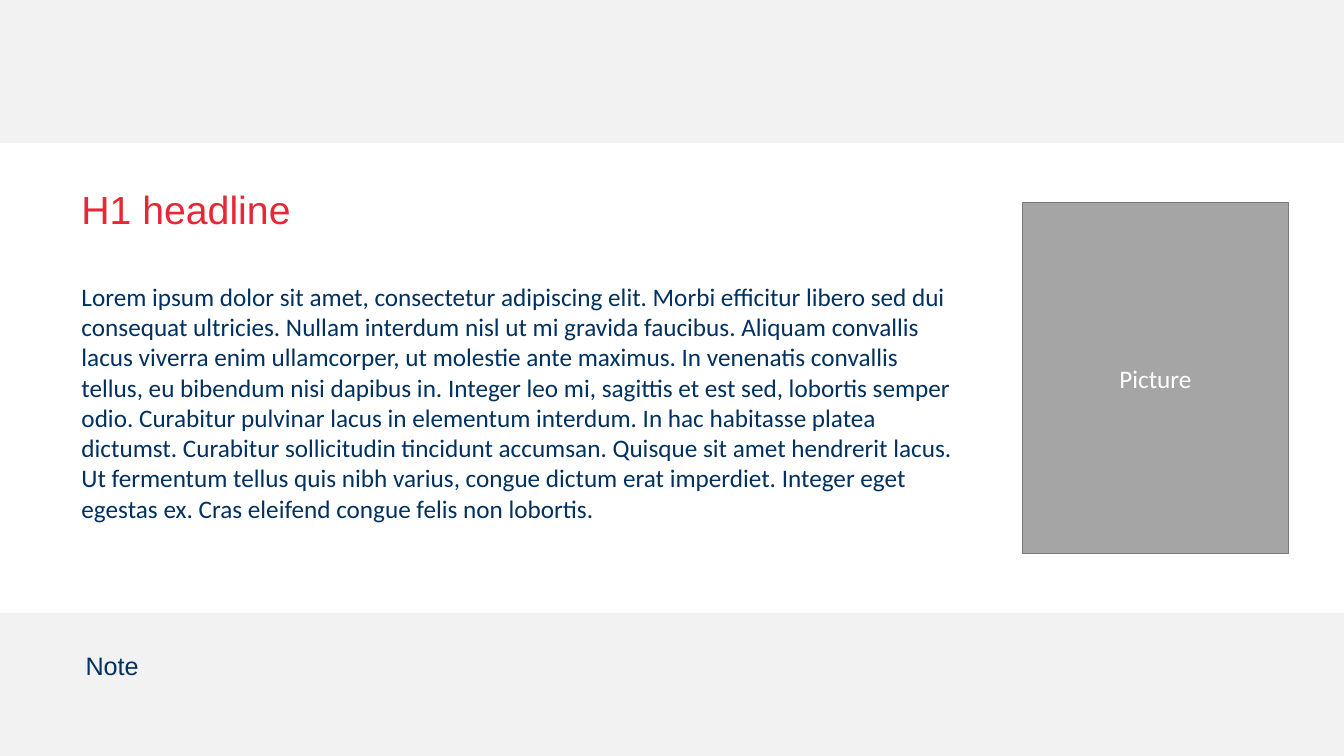
from pptx import Presentation
from pptx.dml.color import RGBColor
from pptx.enum.shapes import MSO_SHAPE
from pptx.enum.text import MSO_ANCHOR, MSO_AUTO_SIZE, PP_ALIGN
from pptx.util import Inches, Pt

COLORS = {
    "band": "F2F2F2",
    "navy": "003160",
    "red": "E72736",
    "frame": "A5A5A5",
    "frame_line": "7A7A7A",
    "white": "FFFFFF",
}
SLIDE_WIDTH, SLIDE_HEIGHT, BAND_HEIGHT = 13.33, 7.5, 1.42
BODY_TEXT = (
    "Lorem ipsum dolor sit amet, consectetur adipiscing elit. Morbi efficitur libero sed dui "
    "consequat ultricies. Nullam interdum nisl ut mi gravida faucibus. Aliquam convallis "
    "lacus viverra enim ullamcorper, ut molestie ante maximus. In venenatis convallis "
    "tellus, eu bibendum nisi dapibus in. Integer leo mi, sagittis et est sed, lobortis semper "
    "odio. Curabitur pulvinar lacus in elementum interdum. In hac habitasse platea "
    "dictumst. Curabitur sollicitudin tincidunt accumsan. Quisque sit amet hendrerit lacus. "
    "Ut fermentum tellus quis nibh varius, congue dictum erat imperdiet. Integer eget "
    "egestas ex. Cras eleifend congue felis non lobortis."
)


def color(name):
    """Return the named colour."""
    return RGBColor.from_string(COLORS[name])


def write_text(shape, text, font_name, size, color_name):
    """Write one styled run and return its paragraph."""
    shape.text_frame.word_wrap = True
    paragraph = shape.text_frame.paragraphs[0]
    run = paragraph.add_run()
    run.text = text
    run.font.name = font_name
    run.font.size = Pt(size)
    run.font.color.rgb = color(color_name)
    return paragraph


def add_rectangle(slide, left, top, width, height, fill_name, line_name=None):
    """Add a flat rectangle, outlined only if a line colour is given."""
    shape = slide.shapes.add_shape(
        MSO_SHAPE.RECTANGLE, Inches(left), Inches(top), Inches(width), Inches(height)
    )
    shape.shadow.inherit = False
    shape.fill.solid()
    shape.fill.fore_color.rgb = color(fill_name)
    if line_name:
        shape.line.color.rgb = color(line_name)
        shape.line.width = Pt(1)
    else:
        shape.line.fill.background()
    return shape


def add_text(slide, left, top, width, height, text, font_name, size, color_name):
    """Add a wrapping text box that grows with its text."""
    box = slide.shapes.add_textbox(Inches(left), Inches(top), Inches(width), Inches(height))
    write_text(box, text, font_name, size, color_name)
    box.text_frame.auto_size = MSO_AUTO_SIZE.SHAPE_TO_FIT_TEXT


def add_picture_frame(slide, left, top, width, height):
    """Add the grey frame with its centred label."""
    frame = add_rectangle(slide, left, top, width, height, "frame", "frame_line")
    frame.text_frame.vertical_anchor = MSO_ANCHOR.MIDDLE
    paragraph = write_text(frame, "Picture", "Calibri", 18, "white")
    paragraph.alignment = PP_ALIGN.CENTER


def main():
    """Build and save the slide."""
    presentation = Presentation()
    presentation.slide_width = Inches(SLIDE_WIDTH)
    presentation.slide_height = Inches(SLIDE_HEIGHT)
    slide = presentation.slides.add_slide(presentation.slide_layouts[6])

    for top in (0, SLIDE_HEIGHT - BAND_HEIGHT):
        add_rectangle(slide, 0, top, SLIDE_WIDTH, BAND_HEIGHT, "band")
    add_text(slide, 0.75, 6.4, 12.58, 0.4, "Note", "Arial", 18, "navy")
    add_text(slide, 0.71, 2.74, 8.88, 2.52, BODY_TEXT, "Calibri", 18, "navy")
    add_text(slide, 0.71, 1.79, 3.1, 0.57, "H1 headline", "Arial", 28, "red")
    add_picture_frame(slide, 10.14, 2.01, 2.64, 3.48)

    presentation.save("out.pptx")


if __name__ == "__main__":
    main()
